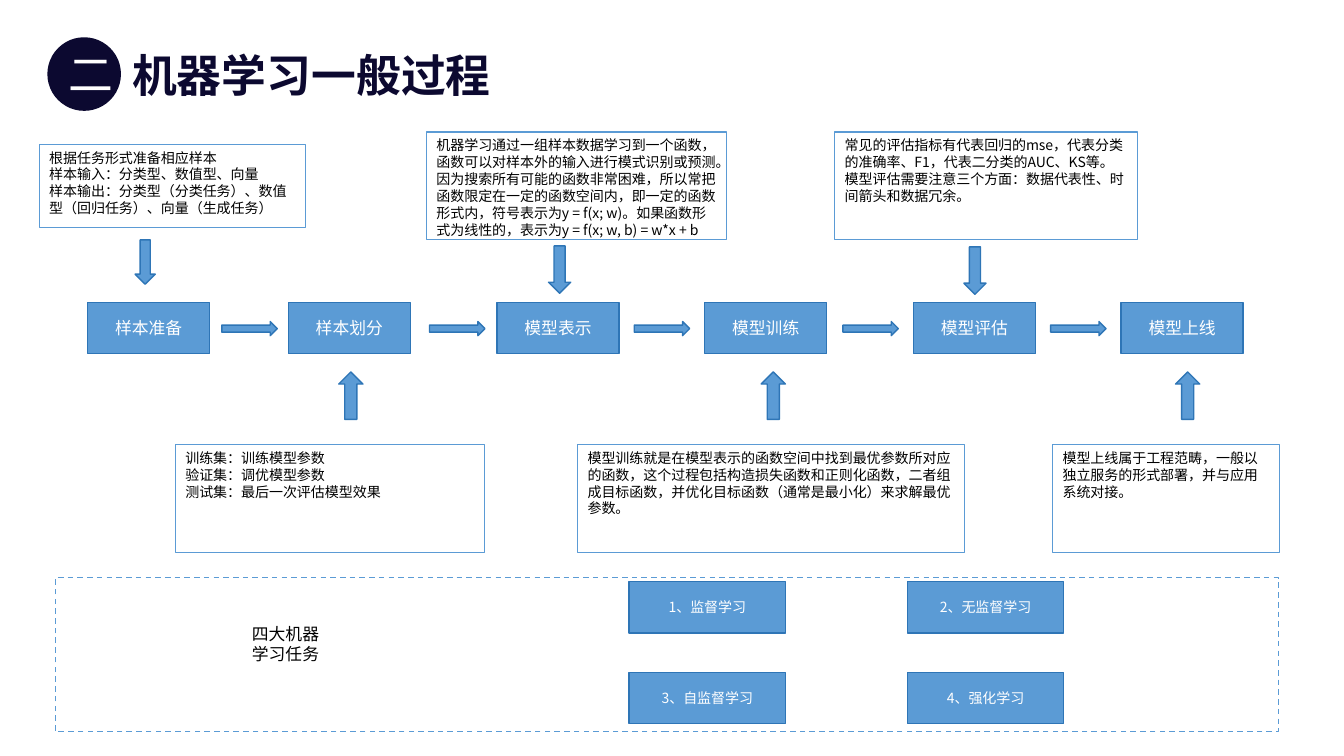
from pptx import Presentation
from pptx.dml.color import RGBColor
from pptx.enum.dml import MSO_LINE
from pptx.enum.shapes import MSO_SHAPE
from pptx.enum.text import MSO_ANCHOR, MSO_AUTO_SIZE, PP_ALIGN
from pptx.oxml.ns import qn
from pptx.util import Pt
from lxml import etree

RECT, OVAL = MSO_SHAPE.RECTANGLE, MSO_SHAPE.OVAL
RIGHT, UP, DOWN = MSO_SHAPE.RIGHT_ARROW, MSO_SHAPE.UP_ARROW, MSO_SHAPE.DOWN_ARROW
TOP, MIDDLE = MSO_ANCHOR.TOP, MSO_ANCHOR.MIDDLE
LEFT, CENTER = PP_ALIGN.LEFT, PP_ALIGN.CENTER
PX = 9144  # 100 px to the inch
CJK, LATIN = "Noto Sans CJK SC", "Arial"
COLORS = {"navy": "0C0930", "blue": "5B9BD5", "edge": "2E75B6",
          "white": "FFFFFF", "black": "000000"}

# Content
NUMBER, TITLE = "二", "机器学习一般过程"
STEPS = [("样本准备", 87), ("样本划分", 286), ("模型表示", 493),
         ("模型训练", 699), ("模型评估", 906), ("模型上线", 1112)]
STEP_ARROWS = [220, 426, 629, 836, 1042]
# Each note: box, its arrow, arrow box, paragraphs
NOTES = [
    ((39, 143, 264, 83), DOWN, (134, 238, 20, 44),
     ["根据任务形式准备相应样本",
      "样本输入：分类型、数值型、向量",
      "样本输出：分类型（分类任务）、数值型（回归任务）、向量（生成任务）"]),
    ((174, 441, 307, 107), UP, (336, 369, 24, 47),
     ["训练集：训练模型参数", "验证集：调优模型参数", "测试集：最后一次评估模型效果"]),
    ((423, 131, 298, 107), DOWN, (544, 244, 22, 47),
     ["机器学习通过一组样本数据学习到一个函数，函数可以对样本外的输入进行模式识别或预测。"
      "因为搜索所有可能的函数非常困难，所以常把函数限定在一定的函数空间内，即一定的函数形式内，"
      "符号表示为y = f(x; w)。如果函数形式为线性的，表示为y = f(x; w, b) = w*x + b"]),
    ((573, 441, 384, 107), UP, (755, 369, 24, 47),
     ["模型训练就是在模型表示的函数空间中找到最优参数所对应的函数，这个过程包括构造损失函数和"
      "正则化函数，二者组成目标函数，并优化目标函数（通常是最小化）来求解最优参数。"]),
    ((828, 131, 300, 107), DOWN, (956, 245, 22, 47),
     ["常见的评估指标有代表回归的mse，代表分类的准确率、F1，代表二分类的AUC、KS等。"
      "模型评估需要注意三个方面：数据代表性、时间箭头和数据冗余。"]),
    ((1044, 441, 225, 107), UP, (1166, 369, 24, 47),
     ["模型上线属于工程范畴，一般以独立服务的形式部署，并与应用系统对接。"]),
]
TASK_LABEL = ["四大机器", "学习任务"]
TASKS = ["1、监督学习", "2、无监督学习", "3、自监督学习", "4、强化学习"]


def rgb(name):
    return RGBColor.from_string(COLORS[name])


def emu(box):
    return [v * PX for v in box]


def write(shape, lines, size, color, align=LEFT, anchor=TOP, font=CJK, bold=False):
    tf = shape.text_frame
    tf.word_wrap = True
    tf.auto_size = MSO_AUTO_SIZE.NONE
    tf.vertical_anchor = anchor
    for i, line in enumerate(lines):
        p = tf.paragraphs[0] if i == 0 else tf.add_paragraph()
        p.alignment = align
        r = p.add_run()
        r.text = line
        r.font.size, r.font.bold, r.font.name = Pt(size), bold, font
        r.font.color.rgb = rgb(color)
        ea = etree.SubElement(r.font._element, qn("a:ea"))
        ea.set("typeface", CJK)


def add(kind, box, fill="blue", line="edge", width=1):
    sp = s.shapes.add_shape(kind, *emu(box))
    sp.shadow.inherit = False
    if fill:
        sp.fill.solid()
        sp.fill.fore_color.rgb = rgb(fill)
    else:
        sp.fill.background()
    if line:
        sp.line.color.rgb = rgb(line)
        sp.line.width = Pt(width)
    else:
        sp.line.fill.background()
    return sp


prs = Presentation()
prs.slide_width, prs.slide_height = emu((1333, 750))
s = prs.slides.add_slide(prs.slide_layouts[5])

# Frame of the task area
frame = add(RECT, (55, 573, 1213, 153), None, "blue")
frame.line.dash_style = MSO_LINE.DASH

# Heading
badge = add(OVAL, (47, 37, 73, 73), "navy", None)
write(badge, [NUMBER], 32, "white", CENTER, MIDDLE)
title = s.shapes.title
title.left, title.top, title.width, title.height = emu((121, 42, 510, 64))
write(title, [TITLE], 32, "navy", bold=True)

# Process steps
for name, x in STEPS:
    write(add(RECT, (x, 300, 121, 51)), [name], 12, "white", CENTER, MIDDLE, LATIN)
for x in STEP_ARROWS:
    add(RIGHT, (x, 319, 55, 14))

# Notes with their arrows
for box, arrow, arrow_box, lines in NOTES:
    write(add(RECT, box, None, "blue", 0.75), lines, 10, "black")
    add(arrow, arrow_box)

# Four learning tasks, two by two
for i, task in enumerate(TASKS):
    row, col = divmod(i, 2)
    sp = add(RECT, (624 + 276 * col, 577 + 90 * row, 155, 51))
    write(sp, [task], 10, "white", CENTER, MIDDLE)
label = s.shapes.add_textbox(*emu((240, 614, 215, 50)))
write(label, TASK_LABEL, 12, "black")

prs.save("out.pptx")
